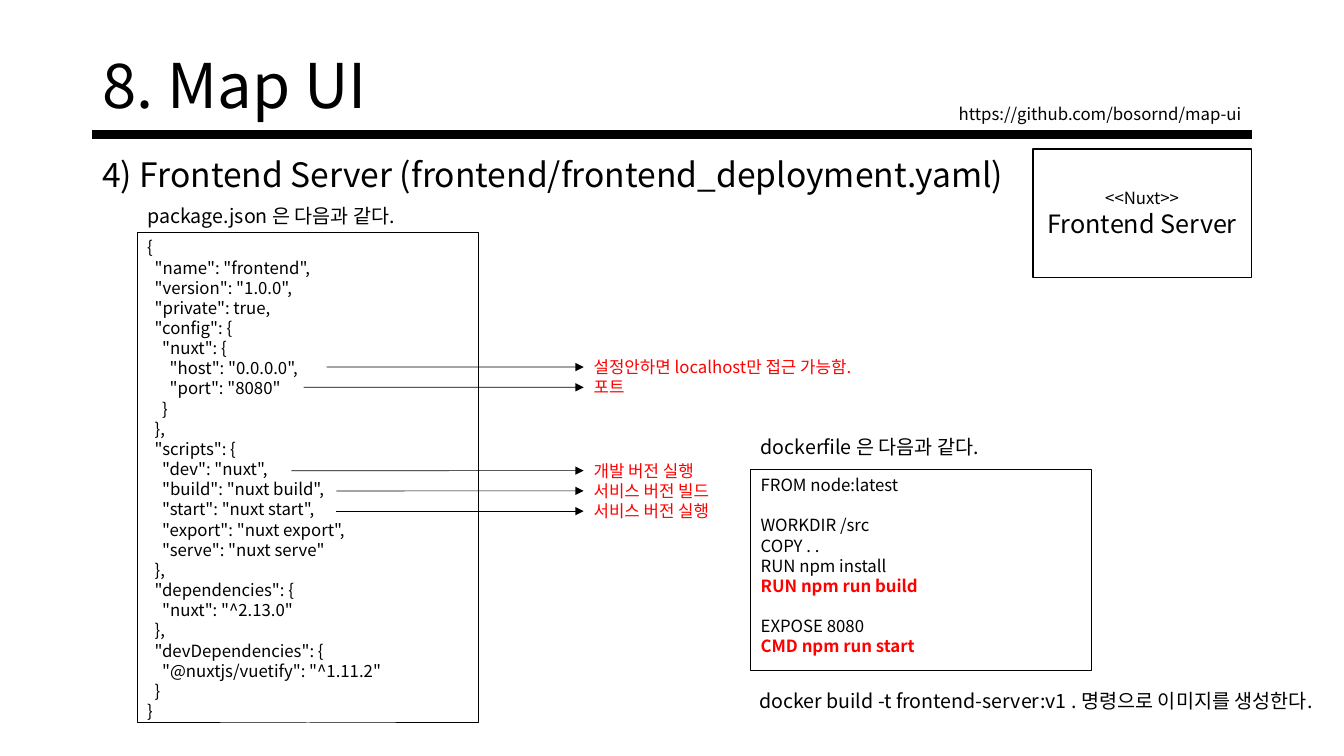
from lxml.etree import SubElement
from pptx import Presentation
from pptx.dml.color import RGBColor
from pptx.enum.shapes import MSO_CONNECTOR, MSO_SHAPE
from pptx.enum.text import MSO_ANCHOR, PP_ALIGN
from pptx.oxml.ns import qn
from pptx.util import Cm, Pt

BLACK = RGBColor(0, 0, 0)
WHITE = RGBColor(255, 255, 255)
RED = RGBColor(255, 0, 0)
FONT = "Noto Sans CJK KR"

PACKAGE_JSON = """{
  "name": "frontend",
  "version": "1.0.0",
  "private": true,
  "config": {
    "nuxt": {
      "host": "0.0.0.0",
      "port": "8080"
    }
  },
  "scripts": {
    "dev": "nuxt",
    "build": "nuxt build",
    "start": "nuxt start",
    "export": "nuxt export",
    "serve": "nuxt serve"
  },
  "dependencies": {
    "nuxt": "^2.13.0"
  },
  "devDependencies": {
    "@nuxtjs/vuetify": "^1.11.2"
  }
}"""

DOCKERFILE = """FROM node:latest
WORKDIR /src
COPY . .
RUN npm install
RUN npm run build
EXPOSE 8080
CMD npm run start"""


class SlideBuilder:
    def __init__(self, page, font):
        self.page = page
        self.font = font

    def style(self, para, size, color):
        for span in para.runs:
            span.font.size = Pt(size)
            span.font.color.rgb = color
            span.font.name = self.font
            SubElement(span._r.get_or_add_rPr(), qn("a:ea"), typeface=self.font)

    def set_text(self, box, text, size, color=BLACK, align=PP_ALIGN.LEFT,
                 anchor=MSO_ANCHOR.TOP, spacing=None, wrap=True):
        frame = box.text_frame
        frame.text = text
        frame.word_wrap = wrap
        frame.vertical_anchor = anchor
        for para in frame.paragraphs:
            para.alignment = align
            para.line_spacing = spacing
            self.style(para, size, color)
        return box

    def text(self, left, top, width, height, text, size, **options):
        box = self.page.shapes.add_textbox(Cm(left), Cm(top), Cm(width), Cm(height))
        return self.set_text(box, text, size, **options)

    def panel(self, left, top, width, height, text, size=12, weight=0.75, **options):
        box = self.page.shapes.add_shape(
            MSO_SHAPE.RECTANGLE, Cm(left), Cm(top), Cm(width), Cm(height))
        box.shadow.inherit = False
        box.fill.solid()
        box.fill.fore_color.rgb = WHITE
        box.line.color.rgb = BLACK
        box.line.width = Pt(weight)
        return self.set_text(box, text, size, **options)

    def line(self, left, right, y, weight):
        line = self.page.shapes.add_connector(
            MSO_CONNECTOR.STRAIGHT, Cm(left), Cm(y), Cm(right), Cm(y))
        line.line.color.rgb = BLACK
        line.line.width = Pt(weight)
        SubElement(line.element.spPr, qn("a:effectLst"))
        return line

    def callout(self, start, y, width, text):
        left, height = 14.71, 0.76
        label = self.text(left, y - height / 2, width, height, text, 12, color=RED,
                          anchor=MSO_ANCHOR.MIDDLE, wrap=False)
        arrow = self.line(start, left, y, 0.5)
        arrow.end_connect(label, 1)
        SubElement(arrow.element.spPr.find(qn("a:ln")), qn("a:tailEnd"), type="triangle")


def main():
    deck = Presentation()
    deck.slide_width = Cm(33.87)
    deck.slide_height = Cm(19.05)
    page = deck.slides.add_slide(deck.slide_layouts[6])
    builder = SlideBuilder(page, FONT)

    # Heading
    builder.line(2.33, 31.54, 3.39, 6)
    builder.text(2.33, 1.02, 29.21, 2.43, "8. Map UI", 44,
                 anchor=MSO_ANCHOR.MIDDLE, spacing=0.9)
    builder.text(2.33, 3.76, 23.5, 1.3,
                 "4) Frontend Server (frontend/frontend_deployment.yaml)", 24)
    builder.text(14.82, 2.5, 16.72, 0.76, "https://github.com/bosornd/map-ui", 12,
                 align=PP_ALIGN.RIGHT, anchor=MSO_ANCHOR.BOTTOM)

    # Server box
    server = builder.panel(26.03, 3.76, 5.51, 3.23, "<<Nuxt>>\nFrontend Server", weight=1,
                           align=PP_ALIGN.CENTER, anchor=MSO_ANCHOR.MIDDLE)
    server.text_frame.paragraphs[1].runs[0].font.size = Pt(18)

    # Code panels
    builder.panel(3.46, 5.85, 8.6, 12.37, PACKAGE_JSON)
    dockerfile = builder.panel(18.92, 11.84, 8.6, 5.06, DOCKERFILE)
    for para in dockerfile.text_frame.paragraphs:
        if para.text.startswith(("WORKDIR", "EXPOSE")):
            para.space_before = Pt(14.4)
        if para.text.startswith(("RUN npm run", "CMD")):
            para.runs[0].font.bold = True
            para.runs[0].font.color.rgb = RED

    # Captions
    for left, top, width, caption in (
        (3.46, 4.72, 7.01, "package.json 은 다음과 같다."),
        (18.92, 10.55, 6.35, "dockerfile 은 다음과 같다."),
        (18.88, 16.95, 15.03, "docker build -t frontend-server:v1 . 명령으로 이미지를 생성한다."),
    ):
        builder.text(left, top, width, 1.04, caption, 14, spacing=1.5, wrap=False)

    # Callouts on the package.json lines
    for start, y, width, note in (
        (8.23, 9.25, 7.65, "설정안하면 localhost만 접근 가능함."),
        (7.65, 9.76, 1.37, "포트"),
        (7.34, 11.86, 3.38, "개발 버전 실행"),
        (8.48, 12.37, 3.81, "서비스 버전 빌드"),
        (8.48, 12.88, 3.81, "서비스 버전 실행"),
    ):
        builder.callout(start, y, width, note)

    deck.save("out.pptx")


if __name__ == "__main__":
    main()
